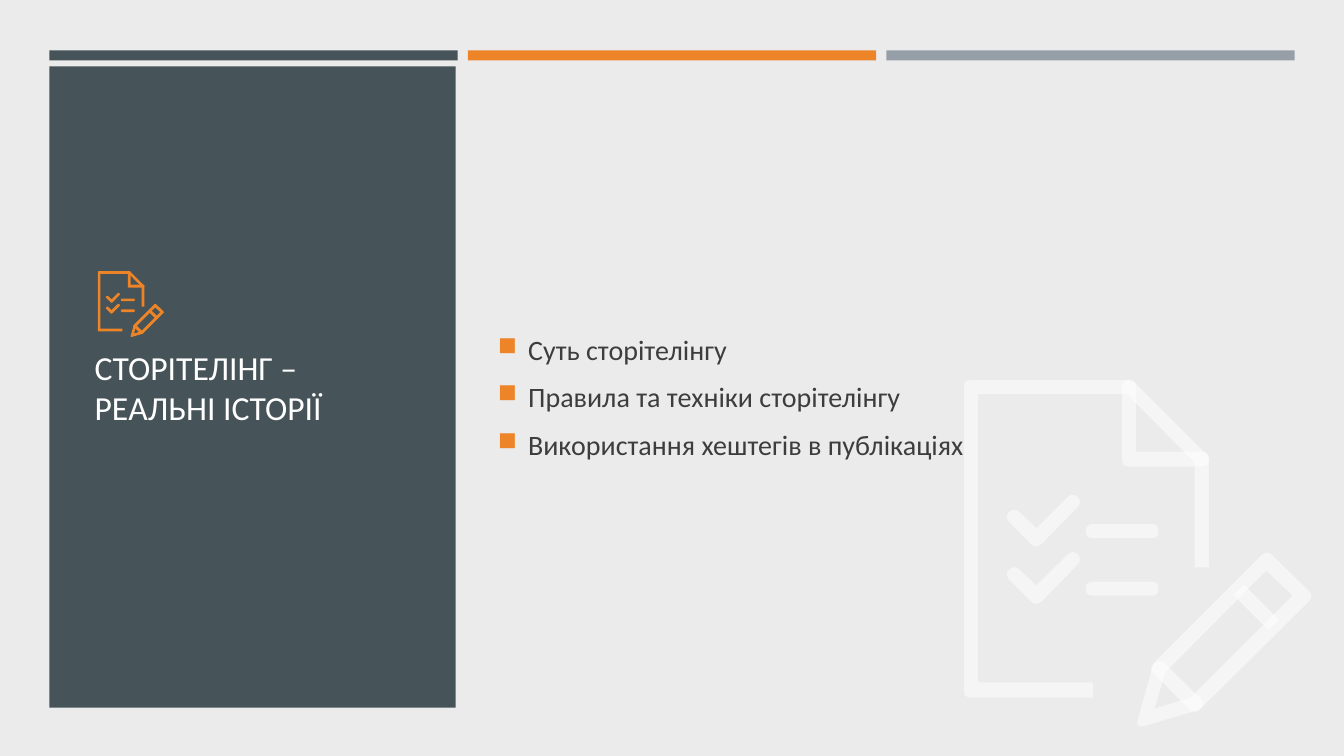
from dataclasses import dataclass

from lxml import etree
from pptx import Presentation, util as u
from pptx.dml.color import RGBColor
from pptx.enum import shapes, text
from pptx.oxml import ns


@dataclass(frozen=True)
class Theme:
    background: str = "EBEBEB"
    slate: str = "465359"
    orange: str = "ED8428"
    grey: str = "969FA7"
    white: str = "FFFFFF"
    body: str = "3D3D3D"
    font: str = "Calibri"
    title_size: int = 24
    body_size: int = 20
    bullet_percent: int = 92


@dataclass(frozen=True)
class Grid:
    left: float = 0.49
    top: float = 0.5
    column: float = 4.05
    gap: float = 0.1

    def column_left(self, index: int) -> float:
        return self.left + index * (self.column + self.gap)


@dataclass(frozen=True)
class Box:
    left: float
    top: float
    width: float
    height: float

    def lengths(self) -> list[int]:
        return [u.Inches(n) for n in (self.left, self.top, self.width, self.height)]


@dataclass(frozen=True)
class Icon:
    left: float
    top: float
    unit: float
    color: str
    opacity: int


Corner = tuple[float, float, float]
Contour = list[Corner]

THEME = Theme()
GRID = Grid()
BAR_COLORS = [THEME.slate, THEME.orange, THEME.grey]
PANEL = Box(GRID.left, 0.66, 4.03, 6.36)
BODY = Box(4.84, 1.39, 7.27, 5.09)
TITLE = Box(0.84, 2.9, 3.32, 1.88)
TITLE_TEXT = "СТОРІТЕЛІНГ – РЕАЛЬНІ ІСТОРІЇ"
TOPICS = [
    "Суть сторітелінгу",
    "Правила та техніки сторітелінгу",
    "Використання хештегів в публікаціях",
]
ICONS = [
    Icon(0.97, 2.69, 0.0019, THEME.orange, 100),
    Icon(9.56, 3.77, 0.01, THEME.white, 50),
]
LIST_ROW = 57


def dash(top: float) -> Contour:
    return [(121, top, 7), (193, top, 7), (193, top + 14, 7), (121, top + 14, 7)]


def check(top: float) -> Contour:
    return [(50, top + 15, 8), (72, top + 36, 0), (108, top, 8),
            (118, top + 10, 8), (72, top + 57, 8), (40, top + 25, 8)]


PENCIL_OUTLINE = [(170, 346, 9), (188, 281, 2), (300.5, 168.5, 8),
                  (347.5, 214.5, 8), (234, 327, 2)]
PENCIL_INSIDE = [(200, 290, 0), (189, 326, 0), (225, 315, 0), (326, 214, 0), (300, 189, 0)]
FERRULE = [(302, 248, 0), (267, 213, 0), (278, 203, 0), (313, 238, 0)]
PENCIL_NECK = [(183, 286, 8), (194, 276, 8), (240, 321, 8), (229, 332, 8)]
SHEET = [(128, 315, 0), (0, 315, 7), (0, 0, 7), (167, 0, 5), (243, 76, 3), (243, 186, 0),
         (229, 186, 0), (229, 82, 0), (162, 14, 0), (14, 14, 0), (14, 300, 0), (128, 300, 0)]
FOLD = [(157, 0, 7), (171, 0, 7), (171, 71, 0), (236, 71, 0), (243, 71, 7),
        (243, 86, 7), (157, 86, 7)]
ICON_PARTS: list[list[Contour]] = [
    [PENCIL_OUTLINE, PENCIL_INSIDE], [FERRULE], [PENCIL_NECK],
    [dash(143)], [dash(143 + LIST_ROW)], [check(111)], [check(111 + LIST_ROW)],
    [SHEET], [FOLD],
]


def toward(start: Corner, end: Corner, distance: float) -> tuple[float, float]:
    dx, dy = end[0] - start[0], end[1] - start[1]
    share = distance / (dx * dx + dy * dy) ** 0.5
    return start[0] + dx * share, start[1] + dy * share


def rounded(contour: Contour, steps: int = 6) -> list[tuple[float, float]]:
    points = []
    for index, corner in enumerate(contour):
        x, y, radius = corner
        if not radius:
            points.append((x, y))
            continue
        enter = toward(corner, contour[index - 1], radius)
        leave = toward(corner, contour[(index + 1) % len(contour)], radius)
        for step in range(steps + 1):
            t = step / steps
            a, b, c = (1 - t) ** 2, 2 * t * (1 - t), t * t
            points.append((a * enter[0] + b * x + c * leave[0],
                           a * enter[1] + b * y + c * leave[1]))
    return points


def paint(shape, color: str, opacity: int = 100) -> None:
    shape.shadow.inherit = False
    shape.fill.solid()
    shape.fill.fore_color.rgb = RGBColor.from_string(color)
    shape.line.fill.background()
    if opacity < 100:
        fill = shape.element.spPr.find(".//" + ns.qn("a:srgbClr"))
        etree.SubElement(fill, ns.qn("a:alpha"), val=str(opacity * 1000))


def draw_rectangle(slide, box: Box, color: str) -> None:
    paint(slide.shapes.add_shape(shapes.MSO_SHAPE.RECTANGLE, *box.lengths()), color)


def draw_icon(slide, icon: Icon) -> None:
    group = slide.shapes.add_group_shape()
    for part in ICON_PARTS:
        outlines = [[(u.Inches(icon.left + x * icon.unit), u.Inches(icon.top + y * icon.unit))
                     for x, y in rounded(contour)] for contour in part]
        builder = group.shapes.build_freeform(*outlines[0][0])
        for index, outline in enumerate(outlines):
            if index:
                builder.move_to(*outline[0])
            builder.add_line_segments(outline[1:], close=True)
        paint(builder.convert_to_shape(), icon.color, icon.opacity)


def add_bullet(paragraph) -> None:
    properties = paragraph._p.get_or_add_pPr()
    indent = u.Inches(0.3)
    properties.set("marL", str(indent))
    properties.set("indent", str(-indent))
    color = etree.SubElement(properties, ns.qn("a:buClr"))
    etree.SubElement(color, ns.qn("a:srgbClr"), val=THEME.orange)
    etree.SubElement(properties, ns.qn("a:buSzPct"), val=str(THEME.bullet_percent * 1000))
    etree.SubElement(properties, ns.qn("a:buChar"), char="■")


def draw_text(slide, box: Box, lines: list[str], size: int, color: str,
              bulleted: bool = False) -> None:
    text_frame = slide.shapes.add_textbox(*box.lengths()).text_frame
    text_frame.word_wrap = True
    text_frame.vertical_anchor = text.MSO_ANCHOR.MIDDLE
    text_frame.text = "\n".join(lines)
    for index, paragraph in enumerate(text_frame.paragraphs):
        if bulleted:
            add_bullet(paragraph)
            paragraph.space_before = u.Pt(4 if index else 0)
            paragraph.space_after = u.Pt(6)
        for run in paragraph.runs:
            run.font.name = THEME.font
            run.font.size = u.Pt(size)
            run.font.color.rgb = RGBColor.from_string(color)


def main() -> None:
    presentation = Presentation()
    presentation.slide_width = u.Inches(13.33)
    presentation.slide_height = u.Inches(7.5)
    slide = presentation.slides.add_slide(presentation.slide_layouts[6])
    slide.background.fill.solid()
    slide.background.fill.fore_color.rgb = RGBColor.from_string(THEME.background)
    for index, color in enumerate(BAR_COLORS):
        bar = Box(GRID.column_left(index), GRID.top, GRID.column, GRID.gap)
        draw_rectangle(slide, bar, color)
    draw_rectangle(slide, PANEL, THEME.slate)
    draw_text(slide, BODY, TOPICS, THEME.body_size, THEME.body, bulleted=True)
    draw_text(slide, TITLE, [TITLE_TEXT], THEME.title_size, THEME.white)
    for icon in ICONS:
        draw_icon(slide, icon)
    presentation.save("out.pptx")


if __name__ == "__main__":
    main()
